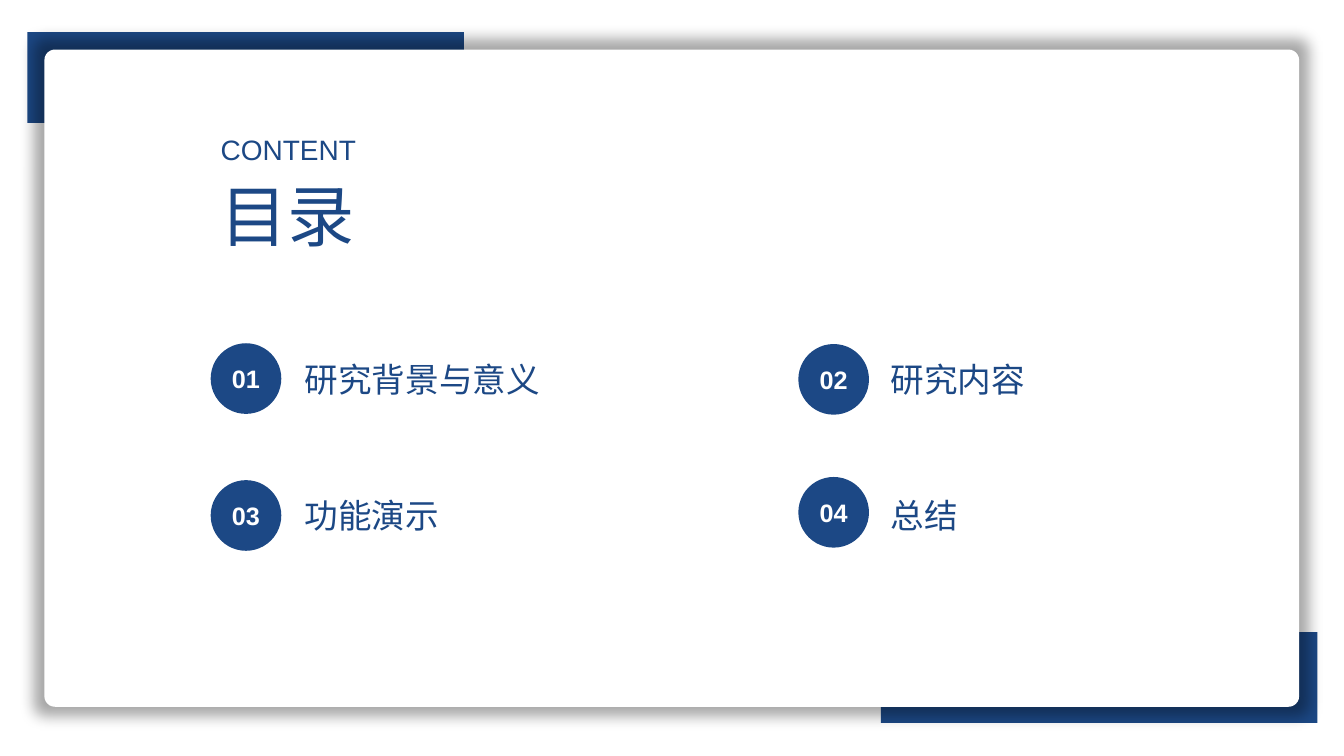
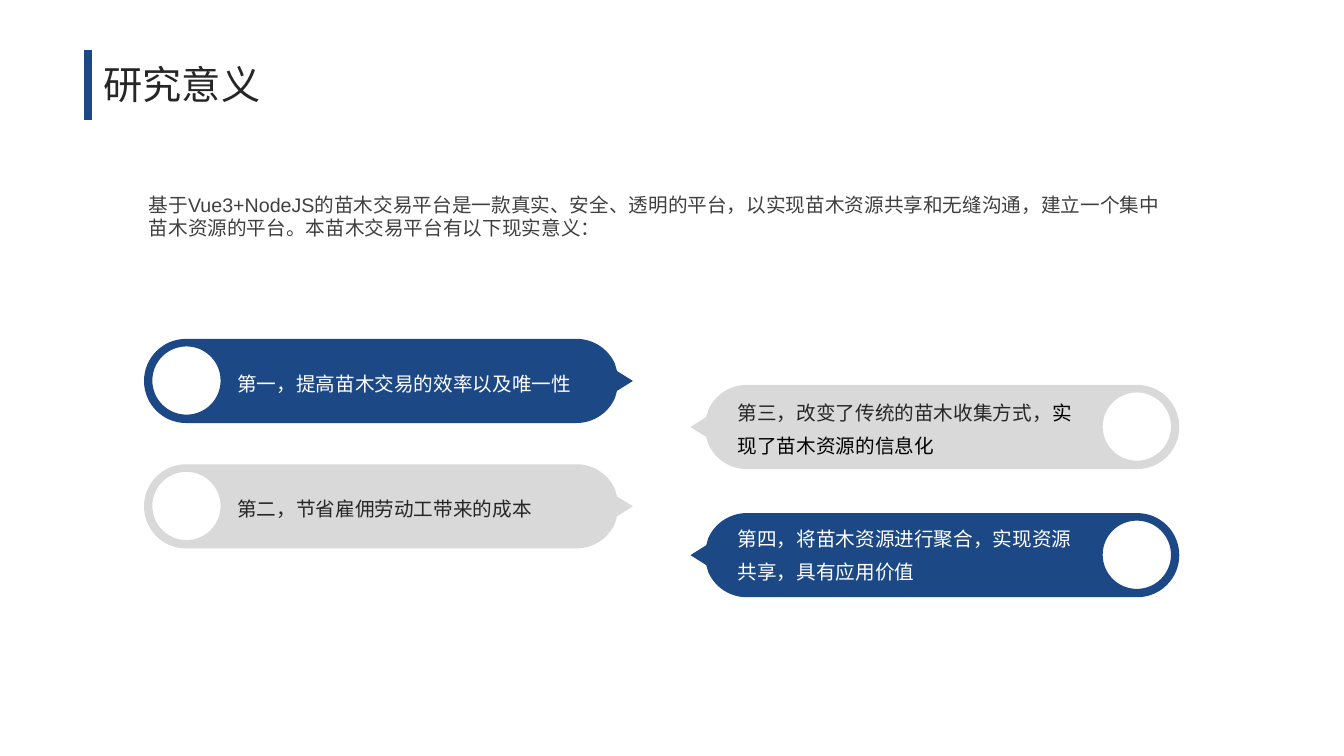
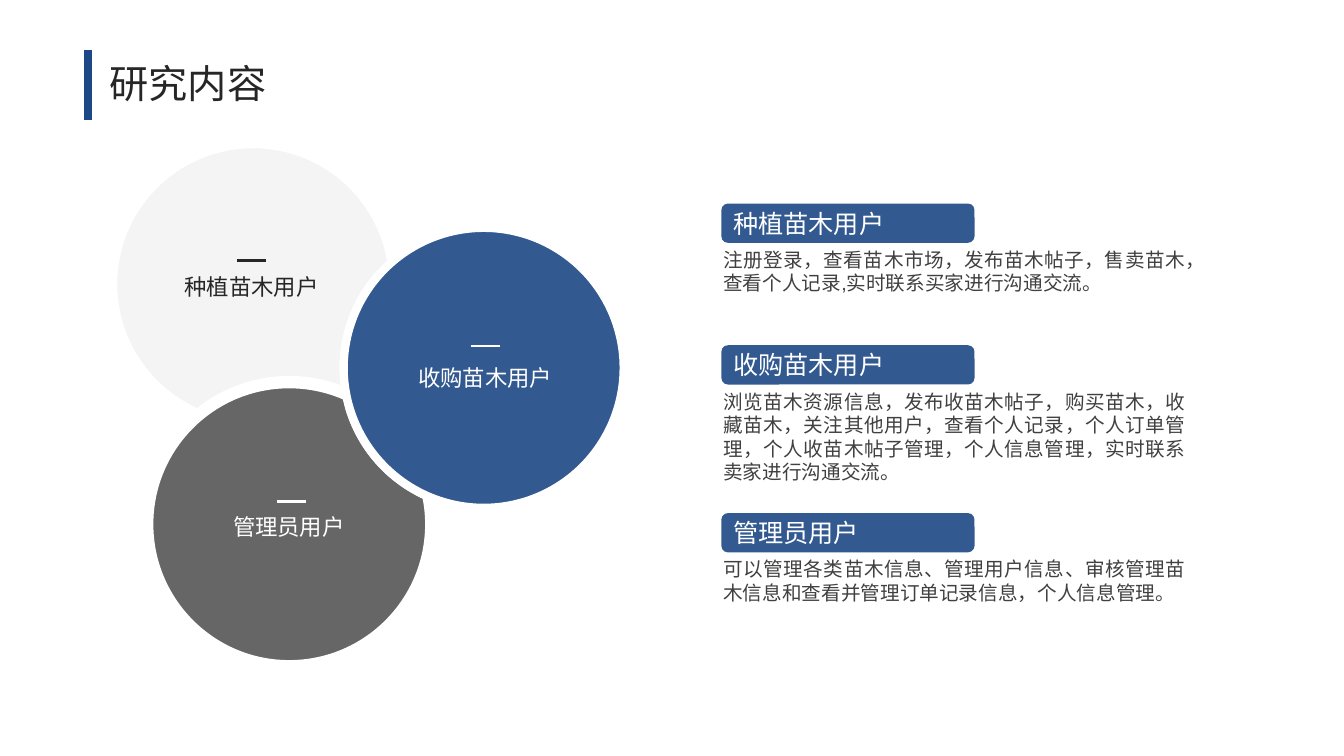
import math
from dataclasses import dataclass
from itertools import islice

from lxml import etree
from pptx import Presentation, util as u
from pptx.dml.color import RGBColor
from pptx.enum import shapes, text
from pptx.oxml.ns import qn


@dataclass(frozen=True)
class Theme:
    font: str = "Arial"
    navy: str = "1C4885"
    white: str = "FFFFFF"
    ink: str = "262626"
    body: str = "404040"
    black: str = "000000"
    grey: str = "D9D9D9"
    pale: str = "F2F2F2"
    cover_size: int = 48
    title_size: int = 28
    agenda_size: int = 24
    kicker_size: int = 20
    label_size: int = 18
    circle_size: int = 16
    body_size: int = 14
    rim: int = 6


theme = Theme()
LEFT, CENTER, JUSTIFY = text.PP_ALIGN.LEFT, text.PP_ALIGN.CENTER, text.PP_ALIGN.JUSTIFY
TOP, MIDDLE = text.MSO_ANCHOR.TOP, text.MSO_ANCHOR.MIDDLE
RECT, ROUND, OVAL = (shapes.MSO_SHAPE.RECTANGLE, shapes.MSO_SHAPE.ROUNDED_RECTANGLE,
                     shapes.MSO_SHAPE.OVAL)


def paint(shape, fill, opacity=100, rim=None):
    """Give a flat fill (opacity in percent), an optional rim, and no shadow."""
    shape.shadow.inherit = False
    shape.fill.solid()
    shape.fill.fore_color.rgb = RGBColor.from_string(fill)
    if opacity < 100:
        colour = shape.element.spPr.find(qn("a:solidFill"))[0]
        etree.SubElement(colour, qn("a:alpha"), val=str(opacity * 1000))
    if rim:
        shape.line.color.rgb = RGBColor.from_string(rim)
        shape.line.width = u.Pt(theme.rim)
    else:
        shape.line.fill.background()


def write(shape, words, size, colour, align=LEFT, anchor=TOP, spacing=1.0):
    """Put one wrapped paragraph in the shape and return it."""
    frame = shape.text_frame
    frame.word_wrap = True
    frame.auto_size = text.MSO_AUTO_SIZE.NONE
    frame.vertical_anchor = anchor
    frame.text = words
    paragraph = frame.paragraphs[0]
    paragraph.alignment = align
    paragraph.line_spacing = spacing
    paragraph.font.name = theme.font
    paragraph.font.size = u.Pt(size)
    paragraph.font.color.rgb = RGBColor.from_string(colour)
    return paragraph


deck = Presentation()
deck.slide_width, deck.slide_height = u.Cm(33.87), u.Cm(19.05)
title_only = deck.slide_layouts[5]
rules = []  # slide, from x, from y, to x, to y, colour, width

# Slides and titles
titled = []
for heading, size, colour, box, spacing in [
    ("目录", theme.cover_size, theme.navy, (5.31, 4.27, 6.45, 2.31), 1.0),
    ("研究意义", theme.title_size, theme.ink, (2.36, 1.27, 7.9, 1.75), 1.1),
    ("研究内容", theme.title_size, theme.ink, (2.51, 1.14, 7.06, 1.88), 1.2),
]:
    slide = deck.slides.add_slide(title_only)
    title = slide.shapes.title
    title.left, title.top, title.width, title.height = map(u.Cm, box)
    write(title, heading, size, colour, spacing=spacing)
    titled.append(slide)
agenda, meaning, content = titled
for slide in (meaning, content):
    rules.append((slide, 2.22, 1.27, 2.22, 3.02, theme.navy, theme.rim))

# Agenda: framed card, then numbered entries
for kind, box, fill in [
    (RECT, (22.2, 15.93, 11, 2.29), theme.navy),
    (RECT, (0.69, 0.81, 11, 2.29), theme.navy),
    (ROUND, (1.12, 1.25, 31.62, 16.56), theme.white),
]:
    card = agenda.shapes.add_shape(kind, *map(u.Cm, box))
    paint(card, fill)
card.adjustments[0] = 0.016
glow = etree.SubElement(card.element.spPr.find(qn("a:effectLst")), qn("a:outerShdw"),
                        blurRad=str(u.Pt(10)), sx="101500", sy="103000",
                        algn="ctr", rotWithShape="0")
shade = etree.SubElement(glow, qn("a:srgbClr"), val=theme.black)
etree.SubElement(shade, qn("a:alpha"), val="35000")

# The title sits above the card
agenda.shapes.element.append(agenda.shapes.title.element)
kicker = agenda.shapes.add_textbox(*map(u.Cm, (5.31, 3.21, 6.45, 1.12)))
write(kicker, "CONTENT", theme.kicker_size, theme.navy, JUSTIFY)

for number, (entry, left, top, entry_left, entry_top) in enumerate([
    ("研究背景与意义", 5.31, 8.65, 7.43, 8.92),
    ("研究内容", 20.12, 8.67, 22.2, 8.92),
    ("功能演示", 5.31, 12.1, 7.43, 12.34),
    ("总结", 20.12, 12.02, 22.2, 12.34),
], start=1):
    badge = agenda.shapes.add_shape(OVAL, *map(u.Cm, (left, top, 1.78, 1.78)))
    paint(badge, theme.navy)
    badge.text_frame.margin_left = badge.text_frame.margin_right = 0
    write(badge, f"{number:02}", theme.label_size, theme.white, CENTER, MIDDLE).font.bold = True
    label = agenda.shapes.add_textbox(*map(u.Cm, (entry_left, entry_top, 8.45, 1.27)))
    write(label, entry, theme.agenda_size, theme.navy)

# Outlines: each contour is a list of arcs (centre x, centre y, radius, from, to in degrees);
# an arc of radius 0 is a corner
points = [
    ("第一，提高苗木交易的效率以及唯一性", 3.63, 8.54, 8.54, False, theme.navy, theme.white),
    ("第二，节省雇佣劳动工带来的成本", 3.63, 11.7, 11.68, False, theme.grey, theme.ink),
    ("第三，改变了传统的苗木收集方式，", 29.72, 9.7, 9.75, True, theme.grey, theme.ink),
    ("第四，将苗木资源进行聚合，实现资源共享，具有应用价值", 29.72, 12.93, 12.92, True,
     theme.navy, theme.white),
]
pill_hole = [(1.07, 1.05, 0.86, 0, 360)]
pill_body = [
    (1.06, 1.06, 1.06, 90, 270),
    (10.9, 1.06, 1.06, -90, -24),
    (11.92, 0.81, 0, 0, 0),
    (12.32, 1.06, 0, 0, 0),
    (11.92, 1.31, 0, 0, 0),
    (10.9, 1.06, 1.06, 24, 90),
]
planter, buyer, manager = (6.38, 7.16), (12.19, 9.27), (7.29, 13.21)
radius = 3.53
outlines = [
    (meaning, (edge, top), -1 if mirrored else 1, [pill_hole, pill_body], fill, 100, None)
    for _, edge, top, _, mirrored, fill, _ in points
]
outlines += [
    (content, (0, 0), 1, [[(*planter, radius, 113, 350.5), (*buyer, 3.48, 226.7, 172),
                           (*manager, 3.63, -67.4, -127.8)]], theme.pale, 80, theme.white),
    (content, (0, 0), 1, [[(*manager, radius, -11.6, 294.3), (*buyer, radius, 163, 114.5)]],
     theme.body, 80, theme.white),
]
for slide, (left, top), direction, contours, fill, opacity, rim in outlines:
    builder = None
    group_sizes = []  # 1 for a straight step, 3 for a curve
    for arcs in contours:
        vertices = []
        for x, y, r, start, end in arcs:
            low, high = sorted((start, end))
            quarters = [a for a in range(-360, 361, 90) if low < a < high]
            stops = sorted({start, end, *quarters}, reverse=start > end)
            spots = [(start, 0)]  # angle, signed length of the tangent handle
            for a, b in zip(stops, stops[1:]):
                handle = 4 / 3 * math.tan(math.radians(b - a) / 4)
                spots += [(a, handle), (b, -handle), (b, 0)]
            if vertices:
                group_sizes.append(1)
            group_sizes += [3] * (len(stops) - 1)
            for degrees, handle in spots:
                cos, sin = math.cos(math.radians(degrees)), math.sin(math.radians(degrees))
                vertices.append((u.Cm(left + direction * (x + r * (cos - handle * sin))),
                                 u.Cm(top + y + r * (sin + handle * cos))))
        if builder is None:
            builder = slide.shapes.build_freeform(*vertices[0])
        else:
            builder.move_to(*vertices[0])
        builder.add_line_segments(vertices[1:], close=True)
    outline = builder.convert_to_shape()
    steps = iter(list(outline.element.iter(qn("a:lnTo"))))
    for size in group_sizes:
        group = list(islice(steps, size))
        if size == 3:
            curve = etree.Element(qn("a:cubicBezTo"))
            group[0].addprevious(curve)
            for step in group:
                curve.append(step[0])
                step.getparent().remove(step)
    paint(outline, fill, opacity, rim)

# Meaning: introduction and the four points
intro = meaning.shapes.add_textbox(*map(u.Cm, (3.5, 4.73, 26.24, 1.45)))
write(intro, "基于Vue3+NodeJS的苗木交易平台是一款真实、安全、透明的平台，以实现苗木资源共享和无缝沟通，"
      "建立一个集中苗木资源的平台。本苗木交易平台有以下现实意义：", theme.body_size, theme.body)
for point, _, _, top, mirrored, _, colour in points:
    left, width, spacing = (18.34, 9.17, 1.4) if mirrored else (5.73, 9.4, 2.2)
    box = meaning.shapes.add_textbox(*map(u.Cm, (left, top, width, 2.11)))
    paragraph = write(box, point, theme.body_size, colour, spacing=spacing)
    if point.startswith("第三"):
        ending = paragraph.add_run()
        ending.text = "实现了苗木资源的信息化"
        ending.font.color.rgb = RGBColor.from_string(theme.black)

# Content: three user circles and their descriptions
buyer_circle = content.shapes.add_shape(
    OVAL, u.Cm(buyer[0] - radius), u.Cm(buyer[1] - radius), u.Cm(2 * radius), u.Cm(2 * radius))
paint(buyer_circle, theme.navy, 90, theme.white)

for user, middle, name_top, dash_left, dash_top, colour, tag_top, height, duties in [
    ("种植苗木用户", 6.34, 6.76, 5.97, 6.57, theme.ink, 5.13, 1.45,
     "注册登录，查看苗木市场，发布苗木帖子，售卖苗木，查看个人记录,实时联系买家进行沟通交流。"),
    ("收购苗木用户", 12.23, 9.06, 11.86, 8.72, theme.white, 8.7, 2.64,
     "浏览苗木资源信息，发布收苗木帖子，购买苗木，收藏苗木，关注其他用户，查看个人记录，个人订单管理，"
     "个人收苗木帖子管理，个人信息管理，实时联系卖家进行沟通交流。"),
    ("管理员用户", 7.28, 12.8, 6.98, 12.63, theme.white, 12.93, 1.45,
     "可以管理各类苗木信息、管理用户信息、审核管理苗木信息和查看并管理订单记录信息，个人信息管理。"),
]:
    name = content.shapes.add_textbox(*map(u.Cm, (middle - 3.08, name_top, 6.16, 0.94)))
    write(name, user, theme.circle_size, colour, CENTER)
    rules.append((content, dash_left, dash_top, dash_left + 0.74, dash_top, colour, 2))
    description = content.shapes.add_textbox(*map(u.Cm, (17.98, tag_top + 0.99, 12.14, height)))
    write(description, duties, theme.body_size, theme.body, JUSTIFY)
    tag = content.shapes.add_shape(ROUND, *map(u.Cm, (18.18, tag_top, 6.38, 0.99)))
    paint(tag, theme.navy, 90)
    write(tag, user, theme.label_size, theme.white, JUSTIFY, MIDDLE)

# Title bars and dashes
for slide, x1, y1, x2, y2, colour, width in rules:
    rule = slide.shapes.add_connector(shapes.MSO_CONNECTOR.STRAIGHT, *map(u.Cm, (x1, y1, x2, y2)))
    rule.line.color.rgb = RGBColor.from_string(colour)
    rule.line.width = u.Pt(width)
    etree.SubElement(rule.element.spPr, qn("a:effectLst"))

deck.save("out.pptx")
